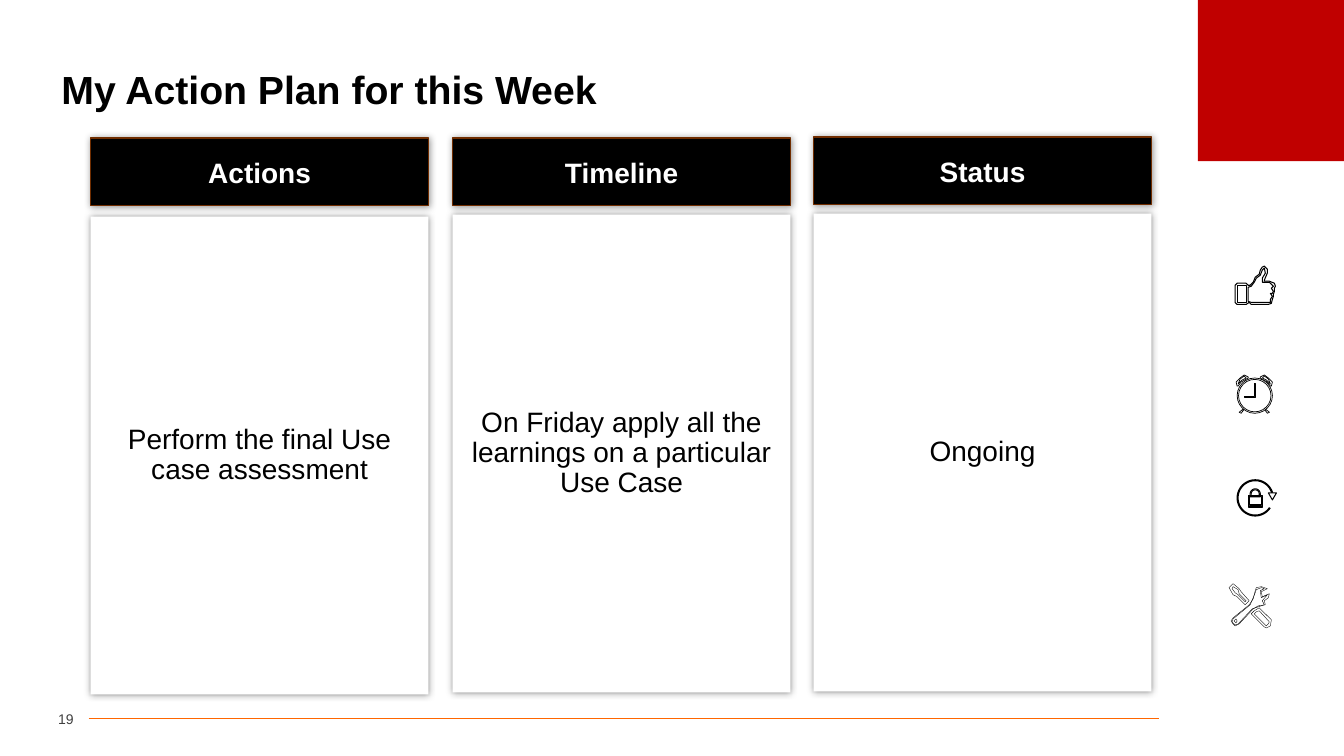
import math

import lxml.etree
import pptx
import pptx.dml.color
import pptx.enum.shapes
import pptx.enum.text
import pptx.oxml
import pptx.oxml.ns
import pptx.util

Inches = pptx.util.Inches
Pt = pptx.util.Pt
RGBColor = pptx.dml.color.RGBColor
ALIGN = pptx.enum.text.PP_ALIGN
MIDDLE = pptx.enum.text.MSO_ANCHOR.MIDDLE
SHAPE = pptx.enum.shapes.MSO_SHAPE

BLACK = RGBColor(0x00, 0x00, 0x00)
WHITE = RGBColor(0xFF, 0xFF, 0xFF)
RED = RGBColor(0xC0, 0x00, 0x00)
ORANGE = RGBColor(0xFF, 0x66, 0x00)
BROWN = RGBColor(0x70, 0x2D, 0x00)
GREY = RGBColor(0x40, 0x40, 0x40)

SHADOW = (
    f'<a:effectLst {pptx.oxml.ns.nsdecls("a")}><a:outerShdw blurRad="63500" dist="0" dir="0">'
    '<a:srgbClr val="000000"><a:alpha val="40000"/></a:srgbClr></a:outerShdw></a:effectLst>'
)

# Heading, text, left, heading top, body top
COLUMNS = [
    ("Actions", "Perform the final Use case assessment", 0.9, 1.37, 2.15),
    ("Timeline", "On Friday apply all the learnings on a particular Use Case", 4.49, 1.37, 2.13),
    ("Status", "Ongoing", 8.07, 1.36, 2.12),
]

THUMB = [
    [(12.64, 2.86), (12.65, 2.84), (12.64, 2.81), (12.59, 2.79), (12.54, 2.79), (12.54, 2.78),
     (12.57, 2.71), (12.57, 2.67), (12.54, 2.64), (12.52, 2.65), (12.5, 2.68), (12.49, 2.72),
     (12.45, 2.75), (12.43, 2.8), (12.4, 2.83), (12.38, 2.83), (12.36, 2.81), (12.27, 2.81),
     (12.25, 2.83), (12.25, 3), (12.27, 3.02), (12.36, 3.02), (12.39, 3), (12.41, 3.02),
     (12.58, 3.02), (12.61, 3.01), (12.62, 2.97), (12.63, 2.94), (12.63, 2.92), (12.64, 2.89)],
    [(12.36, 3), (12.27, 3), (12.27, 2.83), (12.36, 2.83)],
    [(12.62, 2.85), (12.61, 2.86), (12.63, 2.89), (12.62, 2.91), (12.6, 2.91), (12.62, 2.94),
     (12.6, 2.97), (12.6, 3), (12.58, 3), (12.41, 3), (12.38, 2.99), (12.38, 2.85),
     (12.41, 2.84), (12.44, 2.8), (12.46, 2.76), (12.5, 2.73), (12.52, 2.68), (12.54, 2.66),
     (12.55, 2.71), (12.52, 2.76), (12.52, 2.8), (12.59, 2.8), (12.63, 2.84)],
]
CLOCK_EAR = [
    [(12.6, 3.83), (12.57, 3.79), (12.5, 3.75), (12.5, 3.74), (12.54, 3.72), (12.58, 3.75),
     (12.62, 3.79), (12.61, 3.83)],
    [(12.52, 3.75), (12.56, 3.77), (12.6, 3.81), (12.58, 3.76), (12.54, 3.73)],
]
CLOCK_LEG = [[(12.57, 4.1), (12.54, 4.06), (12.54, 4.05), (12.59, 4.09)]]
CLOCK_HANDS = [[(12.45, 3.94), (12.34, 3.94), (12.34, 3.93), (12.44, 3.93), (12.44, 3.8), (12.45, 3.8)]]
CLOCK_MIDDLE = 12.44
ARROWHEAD = [[(12.58, 4.89), (12.62, 4.96), (12.66, 4.89)]]
LOCK_BODY = [
    [(12.38, 5.03), (12.38, 4.92), (12.52, 4.92), (12.52, 5.03)],
    [(12.39, 4.93), (12.39, 5.01), (12.51, 5.01), (12.51, 4.93)],
]
DRIVER_HANDLE = [
    [(12.56, 6.23), (12.54, 6.22), (12.41, 6.09), (12.44, 6.06), (12.49, 6.03), (12.61, 6.15),
     (12.6, 6.21)],
    [(12.56, 6.21), (12.58, 6.19), (12.59, 6.17), (12.49, 6.06), (12.46, 6.07), (12.44, 6.09)],
]
DRIVER_TIP = [
    [(12.35, 6), (12.27, 5.92), (12.23, 5.9), (12.19, 5.83), (12.23, 5.79), (12.29, 5.84),
     (12.31, 5.87), (12.39, 5.96), (12.37, 5.98)],
    [(12.25, 5.88), (12.28, 5.9), (12.35, 5.97), (12.36, 5.96), (12.29, 5.89), (12.28, 5.85),
     (12.23, 5.82), (12.22, 5.84)],
]
WRENCH = [
    [(12.51, 5.82), (12.46, 5.83), (12.45, 5.86), (12.43, 5.94), (12.39, 6), (12.23, 6.13),
     (12.21, 6.16), (12.23, 6.19), (12.25, 6.21), (12.29, 6.19), (12.43, 6.04), (12.48, 6.01),
     (12.55, 6), (12.54, 5.96), (12.58, 5.93), (12.59, 5.89), (12.52, 5.92), (12.51, 5.87),
     (12.57, 5.84)],
    [(12.51, 5.83), (12.54, 5.84), (12.5, 5.86), (12.51, 5.93), (12.57, 5.9), (12.52, 5.96),
     (12.54, 6), (12.42, 6.04), (12.28, 6.19), (12.25, 6.2), (12.22, 6.17), (12.23, 6.14),
     (12.4, 6), (12.45, 5.88), (12.46, 5.85)],
    [(12.26, 6.18), (12.24, 6.16), (12.26, 6.14), (12.27, 6.16)],
]


def arc(cx, cy, radius, start, end):
    """Points on a circle every 5 degrees, clockwise from the right."""
    step = 5 if end > start else -5
    angles = [math.radians(a) for a in range(start, end + step, step)]
    return [(cx + radius * math.cos(a), cy + radius * math.sin(a)) for a in angles]


def mirror(contours, axis):
    return [[(2 * axis - x, y) for x, y in contour] for contour in contours]


class ActionPlan:
    def __init__(self, prs):
        self.font = "Arial"
        self.s = prs.slides.add_slide(prs.slide_layouts[5])

    def set_text(self, tf, text, size, color, bold=False, align=ALIGN.CENTER):
        tf.word_wrap = True
        tf.vertical_anchor = MIDDLE
        p = tf.paragraphs[0]
        p.text = text
        p.alignment = align
        p.font.name = self.font
        p.font.size = Pt(size)
        p.font.bold = bold
        p.font.color.rgb = color
        return p

    def title(self, text):
        sp = self.s.shapes.title
        sp.left, sp.top, sp.width, sp.height = Inches(0.51), Inches(0.52), Inches(12.31), Inches(0.78)
        sp.text_frame.auto_size = pptx.enum.text.MSO_AUTO_SIZE.NONE
        p = self.set_text(sp.text_frame, text, 28, BLACK, True, ALIGN.LEFT)
        p.line_spacing = 0.9

    def style(self, sp, fill, line=None, width=0.0):
        sp.shadow.inherit = False
        sp.fill.solid()
        sp.fill.fore_color.rgb = fill
        if line is None:
            sp.line.fill.background()
        else:
            sp.line.color.rgb = line
            sp.line.width = Pt(width)

    def shape(self, kind, x, y, w, h, fill, line=None, width=0.0):
        sp = self.s.shapes.add_shape(kind, Inches(x), Inches(y), Inches(w), Inches(h))
        self.style(sp, fill, line, width)
        return sp

    def card(self, x, y, h, fill, line=None):
        """A column box with a soft shadow."""
        sp = self.shape(SHAPE.RECTANGLE, x, y, 3.35, h, fill, line, 1)
        spPr = sp._element.spPr
        spPr.replace(spPr.find(pptx.oxml.ns.qn("a:effectLst")), pptx.oxml.parse_xml(SHADOW))
        return sp

    def column(self, heading, text, x, heading_top, body_top):
        body = self.card(x, body_top, 4.74, WHITE)
        p = self.set_text(body.text_frame, text, 20, BLACK)
        p.line_spacing = 0.9
        p.space_before = Pt(10)
        head = self.card(x, heading_top, 0.67, BLACK, BROWN)
        self.set_text(head.text_frame, heading, 20, WHITE, True)

    def outline(self, contours, width):
        """One freeform made of several closed contours."""
        outer, *inner = [[(Inches(x), Inches(y)) for x, y in contour] for contour in contours]
        builder = self.s.shapes.build_freeform(*outer[0])
        builder.add_line_segments(outer[1:])
        for points in inner:
            builder.move_to(*points[0])
            builder.add_line_segments(points[1:])
        self.style(builder.convert_to_shape(), WHITE, BLACK, width)

    def rule(self, x1, x2, y):
        line = self.s.shapes.add_connector(
            pptx.enum.shapes.MSO_CONNECTOR.STRAIGHT, Inches(x1), Inches(y), Inches(x2), Inches(y))
        line.line.color.rgb = ORANGE
        line.line.width = Pt(0.5)
        lxml.etree.SubElement(line._element.spPr, pptx.oxml.ns.qn("a:effectLst"))

    def page_number(self, text):
        sp = self.s.shapes.add_textbox(Inches(0.33), Inches(6.99), Inches(0.4), Inches(0.29))
        sp.text_frame.margin_left = sp.text_frame.margin_right = 0
        self.set_text(sp.text_frame, text, 10, GREY, align=ALIGN.RIGHT)

    def clock(self):
        for part in (CLOCK_EAR, CLOCK_LEG):
            self.outline(part, 0.5)
            self.outline(mirror(part, CLOCK_MIDDLE), 0.5)
        face = self.shape(SHAPE.DONUT, 12.27, 3.75, 0.35, 0.35, WHITE, BLACK, 0.5)
        face.adjustments[0] = 0.04
        self.outline(CLOCK_HANDS, 0.5)

    def lock(self):
        ring = arc(12.45, 4.94, 0.18, 35, 360) + arc(12.45, 4.94, 0.17, 360, 35)
        shackle = [
            arc(12.45, 4.9, 0.05, 180, 360) + [(12.5, 4.93), (12.4, 4.93)],
            arc(12.45, 4.9, 0.04, 180, 360) + [(12.49, 4.92), (12.41, 4.92)],
        ]
        for part in ([ring], ARROWHEAD, shackle, LOCK_BODY):
            self.outline(part, 0.75)


def main():
    prs = pptx.Presentation()
    prs.slide_width, prs.slide_height = Inches(13.33), Inches(7.5)
    plan = ActionPlan(prs)
    plan.rule(0.88, 11.5, 7.13)
    plan.shape(SHAPE.RECTANGLE, 11.88, 0, 1.45, 1.6, RED)
    plan.title("My Action Plan for this Week")
    plan.page_number("19")
    for column in COLUMNS:
        plan.column(*column)
    plan.outline(THUMB, 0.75)
    plan.clock()
    plan.lock()
    for part in (DRIVER_HANDLE, DRIVER_TIP, WRENCH):
        plan.outline(part, 0.25)
    prs.save("out.pptx")


if __name__ == "__main__":
    main()
